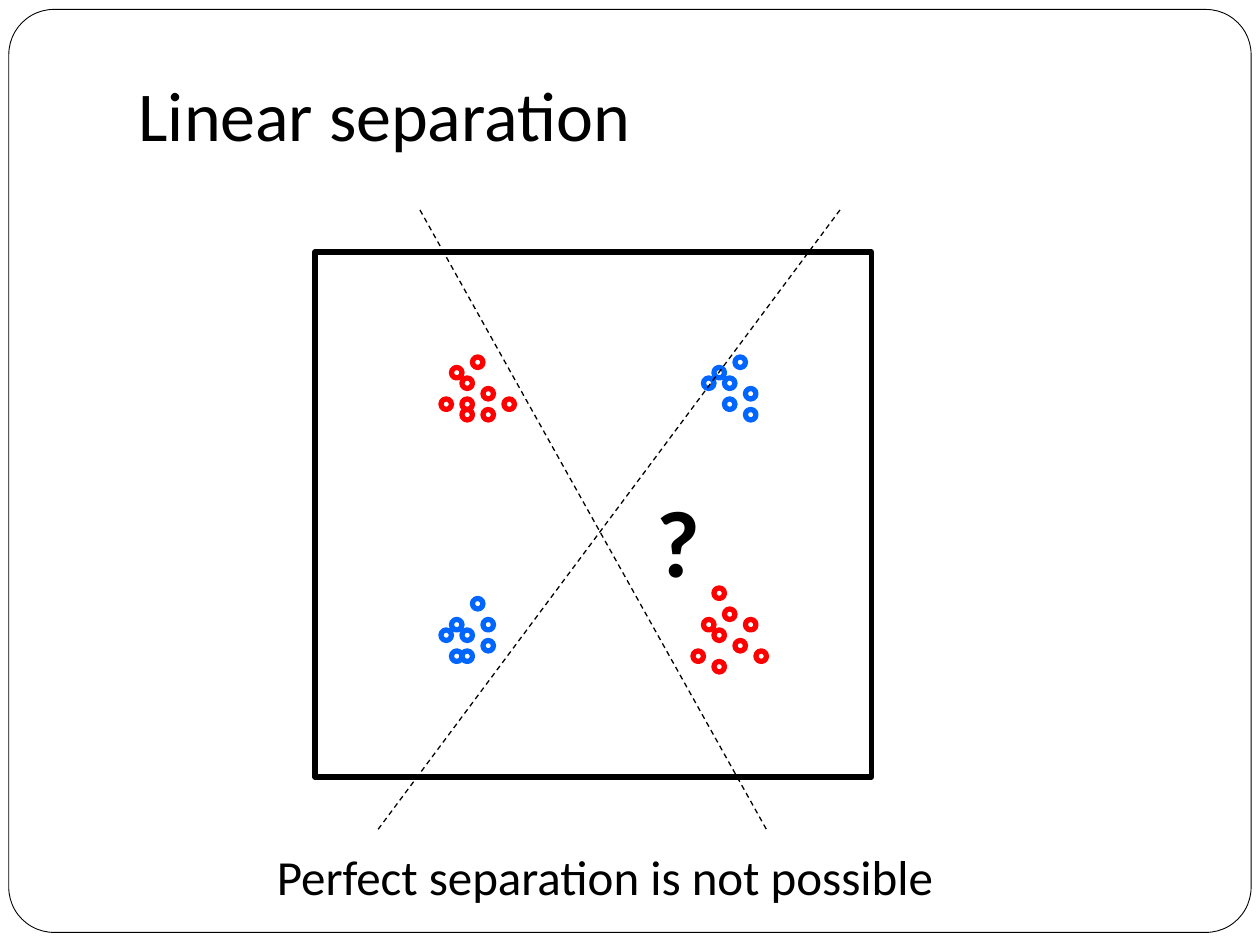
"""Build a slide showing two classes that no straight line can separate."""
from dataclasses import dataclass

from lxml import etree
from pptx import Presentation
from pptx import util as u
from pptx.dml.color import RGBColor
from pptx.enum import dml, shapes, text
from pptx.oxml.ns import qn

BLACK = RGBColor(0x00, 0x00, 0x00)
WHITE = RGBColor(0xFF, 0xFF, 0xFF)
RED = RGBColor(0xFF, 0x00, 0x00)
BLUE = RGBColor(0x00, 0x66, 0xFF)
FONT = "Calibri"
COLUMNS, ROWS = 120, 90
SLIDE_WIDTH, SLIDE_HEIGHT = u.Inches(10), u.Inches(7.5)


@dataclass(frozen=True)
class Cluster:
    """Points of one class, as grid offsets from the cluster's corner."""
    column: int
    row: int
    color: RGBColor
    offsets: tuple[tuple[int, int], ...]


@dataclass(frozen=True)
class Separator:
    """A candidate boundary between two grid positions."""
    start: tuple[int, int]
    end: tuple[int, int]


@dataclass(frozen=True)
class Label:
    """A line of text in a box given in grid cells."""
    words: str
    box: tuple[float, float, float, float]
    size: int
    bold: bool = False


CLUSTERS = (
    Cluster(42, 34, RED, ((1, 1), (2, 2), (0, 4), (2, 4), (4, 3), (3, 0), (2, 5), (4, 5), (6, 4))),
    Cluster(67, 34, BLUE, ((1, 1), (0, 2), (4, 3), (3, 0), (2, 2), (4, 5), (2, 4))),
    Cluster(66, 56, RED, ((1, 3), (2, 0), (0, 6), (2, 4), (5, 3), (3, 2), (2, 7), (4, 5), (6, 6))),
    Cluster(42, 57, BLUE, ((1, 2), (0, 3), (1, 5), (4, 4), (3, 0), (2, 3), (4, 2), (2, 5))),
)
SEPARATORS = (Separator((40, 20), (73, 79)), Separator((80, 20), (36, 79)))
LABELS = (
    Label("?", (61.3, 45.4, 6.6, 12.1), 54, True),
    Label("Perfect separation is not possible", (25.2, 80, 65.8, 6.8), 28),
)


def across(columns: float) -> int:
    """Turn grid columns into a length."""
    return round(SLIDE_WIDTH * columns / COLUMNS)


def down(rows: float) -> int:
    """Turn grid rows into a length."""
    return round(SLIDE_HEIGHT * rows / ROWS)


def cells(left: float, top: float, width: float, height: float) -> tuple[int, int, int, int]:
    """Turn a box in grid cells into lengths."""
    return across(left), down(top), across(width), down(height)


def style_font(paragraph, size: int, bold: bool = False) -> None:
    """Give a paragraph the slide's typeface."""
    font = paragraph.font
    font.name, font.size, font.bold = FONT, u.Pt(size), bold
    font.color.rgb = BLACK


def draw_outline(slide, kind, box, color: RGBColor, weight: float):
    """Draw an unfilled preset shape."""
    outline = slide.shapes.add_shape(kind, *cells(*box))
    outline.shadow.inherit = False
    outline.fill.background()
    outline.line.color.rgb = color
    outline.line.width = u.Pt(weight)
    return outline


def draw_frame(slide) -> None:
    """Draw the rounded page border behind everything else."""
    border = draw_outline(slide, shapes.MSO_SHAPE.ROUNDED_RECTANGLE,
                          (0.84, 0.9, 118.32, 87.9), BLACK, 0.5)
    border.adjustments[0] = 0.049
    border.fill.solid()
    border.fill.fore_color.rgb = WHITE
    slide.shapes.title.element.addprevious(border.element)


def write_title(slide, words: str) -> None:
    """Place and format the title."""
    title = slide.shapes.title
    title.left, title.top, title.width, title.height = cells(12, 1, 102, 15)
    frame = title.text_frame
    frame.text = words
    frame.word_wrap = True
    frame.auto_size = text.MSO_AUTO_SIZE.NONE
    frame.vertical_anchor = text.MSO_ANCHOR.BOTTOM
    frame.margin_bottom = u.Inches(0.1)
    frame.paragraphs[0].alignment = text.PP_ALIGN.LEFT
    style_font(frame.paragraphs[0], 40)


def draw_cluster(slide, cluster: Cluster) -> None:
    """Draw each point of a cluster as a small ring."""
    for column, row in cluster.offsets:
        draw_outline(slide, shapes.MSO_SHAPE.OVAL,
                     (cluster.column + column, cluster.row + row, 1, 1), cluster.color, 3)


def draw_separator(slide, separator: Separator) -> None:
    """Draw a dashed candidate boundary."""
    (left, top), (right, bottom) = separator.start, separator.end
    boundary = slide.shapes.add_connector(
        shapes.MSO_CONNECTOR.STRAIGHT, across(left), down(top), across(right), down(bottom))
    boundary.line.color.rgb = BLACK
    boundary.line.width = u.Pt(0.75)
    boundary.line.dash_style = dml.MSO_LINE.DASH
    etree.SubElement(boundary.element.spPr, qn("a:effectLst"))


def write_label(slide, label: Label) -> None:
    """Write a label in a box that fits its text."""
    frame = slide.shapes.add_textbox(*cells(*label.box)).text_frame
    frame.text = label.words
    frame.word_wrap = False
    frame.auto_size = text.MSO_AUTO_SIZE.SHAPE_TO_FIT_TEXT
    style_font(frame.paragraphs[0], label.size, label.bold)


def main() -> None:
    """Assemble and save the slide."""
    deck = Presentation()
    deck.slide_width, deck.slide_height = SLIDE_WIDTH, SLIDE_HEIGHT
    slide = deck.slides.add_slide(deck.slide_layouts[5])
    draw_frame(slide)
    write_title(slide, "Linear separation")
    draw_outline(slide, shapes.MSO_SHAPE.RECTANGLE, (30, 24, 53, 50), BLACK, 3)
    for cluster in CLUSTERS:
        draw_cluster(slide, cluster)
    for separator in SEPARATORS:
        draw_separator(slide, separator)
    for label in LABELS:
        write_label(slide, label)
    deck.save("out.pptx")


if __name__ == "__main__":
    main()
